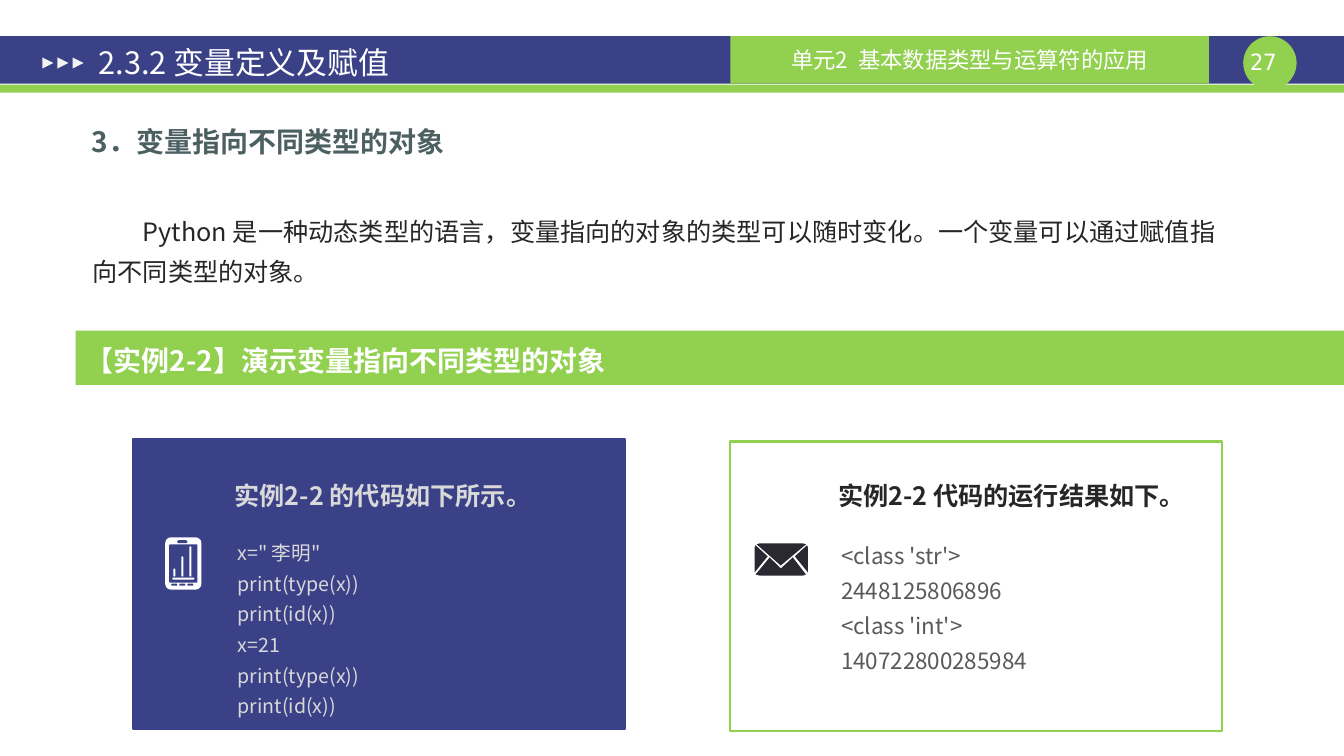
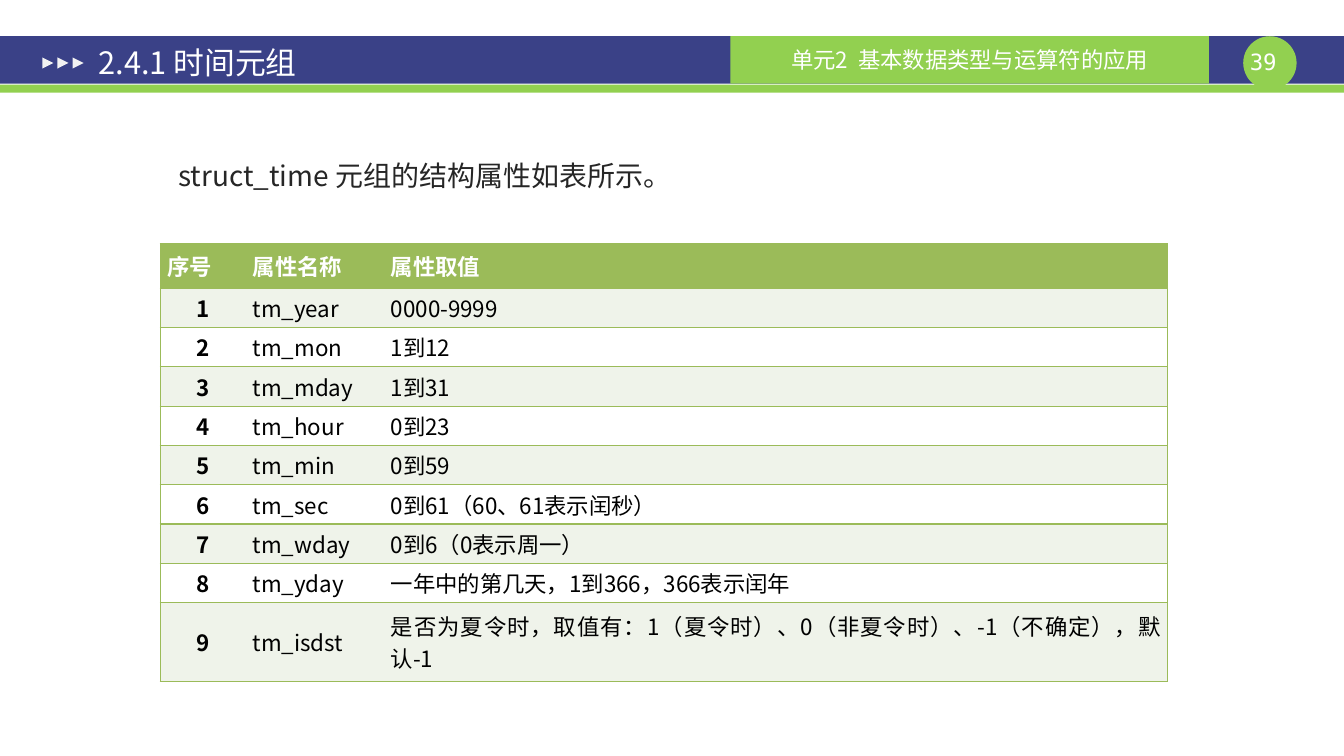
import pptx
import pptx.dml.color
import pptx.enum.shapes
import pptx.enum.text
import pptx.oxml.ns
import pptx.util
from lxml import etree

Inches = pptx.util.Inches
Pt = pptx.util.Pt
SHAPE = pptx.enum.shapes.MSO_SHAPE
ALIGN = pptx.enum.text.PP_ALIGN
ANCHOR = pptx.enum.text.MSO_ANCHOR
AUTO_SIZE = pptx.enum.text.MSO_AUTO_SIZE
qn = pptx.oxml.ns.qn

SLIDE_W, SLIDE_H = 13.34, 7.5
FONT, PAGE_FONT = "Noto Sans CJK SC", "DejaVu Sans Mono"
NAVY, LIME, OLIVE, PALE = "3A4187", "92D050", "9BBB59", "EFF3EA"
WHITE, BLACK, INK, ARROW = "FFFFFF", "000000", "262626", "F2F2F2"
SLATE, SILVER, GRAY, ICON = "4C6062", "D9D9D9", "595959", "2A2831"
UNIT_NAME = "单元2  基本数据类型与运算符的应用"
NO_TABLE_STYLE = "{2D5ABB26-0587-4C30-8999-92F81FD0307C}"


def rgb(value):
    return pptx.dml.color.RGBColor.from_string(value)


def write(frame, lines, size, color, bold=False, font=FONT, align=None,
          spacing=None, indent=0, anchor=ANCHOR.TOP, insets=(0.1, 0.05)):
    """Fill a text frame or table cell with one paragraph per line."""
    across, down = (Inches(inset) for inset in insets)
    layout = {"margin_left": across, "margin_right": across,
              "margin_top": down, "margin_bottom": down,
              "vertical_anchor": anchor}
    for name, value in layout.items():
        setattr(frame, name, value)
    text_frame = getattr(frame, "text_frame", frame)
    text_frame.word_wrap = True
    text_frame.text = "\n".join(lines)
    for paragraph in text_frame.paragraphs:
        paragraph.alignment = align
        paragraph.line_spacing = spacing
        if indent:
            paragraph._p.get_or_add_pPr().set("indent", str(Inches(indent)))
        run = paragraph.runs[0]
        for name, value in {"size": Pt(size), "bold": bold, "name": font}.items():
            setattr(run.font, name, value)
        run.font.color.rgb = rgb(color)
        etree.SubElement(run._r.get_or_add_rPr(), qn("a:ea"), typeface=font)


def add_text(slide, box, lines, size, color, grow=True, **formats):
    text_box = slide.shapes.add_textbox(*map(Inches, box))
    write(text_box.text_frame, lines, size, color, **formats)
    if grow:
        text_box.text_frame.auto_size = AUTO_SIZE.SHAPE_TO_FIT_TEXT


def paint(shape, fill, line=None):
    shape.shadow.inherit = False
    if fill:
        shape.fill.solid()
        shape.fill.fore_color.rgb = rgb(fill)
    else:
        shape.fill.background()
    if line:
        shape.line.color.rgb = rgb(line)
        shape.line.width = Pt(1.5)
    else:
        shape.line.fill.background()
    return shape


def add_block(slide, box, fill, line=None, kind=SHAPE.RECTANGLE):
    return paint(slide.shapes.add_shape(kind, *map(Inches, box)), fill, line)


def add_header(slide, title, page):
    top, height = 0.36, 0.47
    add_block(slide, (0, top, SLIDE_W, height), NAVY)
    add_block(slide, (0, 0.84, SLIDE_W, 0.08), LIME)
    add_block(slide, (12.34, top, 0.53, 0.53), LIME, kind=SHAPE.OVAL)
    add_text(slide, (12.34, 0.48, 0.53, 0.27), [page], 16, WHITE,
             font=PAGE_FONT, align=ALIGN.CENTER, insets=(0, 0))
    unit = add_block(slide, (7.25, top, 4.75, height), LIME)
    write(unit.text_frame, [UNIT_NAME], 16, WHITE, align=ALIGN.CENTER,
          anchor=ANCHOR.MIDDLE)
    for step in range(3):
        arrow = add_block(slide, (0.42 + 0.15 * step, 0.57, 0.11, 0.11), ARROW,
                          kind=SHAPE.ISOSCELES_TRIANGLE)
        arrow.rotation = 90
    add_text(slide, (0.85, 0.4, 7.2, 0.44), [title], 22, WHITE, grow=False,
             anchor=ANCHOR.MIDDLE, insets=(0.13, 0.07))


def add_example_band(slide, left, top, text):
    add_block(slide, (left, top, SLIDE_W - left, 0.54), LIME)
    add_text(slide, (left, top + 0.08, 6, 0.44), [text], 20, WHITE, bold=True)


def add_card(slide, left, top, fill, line, heading, heading_box, heading_color,
             lines, size, color):
    """Draw a framed card; heading_box is (left, top, width) inside it."""
    add_block(slide, (left, top, 4.88, 2.87), fill, line)
    x, y, width = left + heading_box[0], top + heading_box[1], heading_box[2]
    add_text(slide, (x, y, width, 0.46), [heading], 18, heading_color,
             bold=True, spacing=1.3)
    add_text(slide, (x + 0.03, y + 0.62, 3.25, len(lines) * size * 0.023),
             lines, size, color, align=ALIGN.JUSTIFY, spacing=1.3)


def add_phone_icon(slide, left, top):
    def part(x, y, width, height, fill, roundness=0.5):
        piece = add_block(slide, (left + x, top + y, width, height), fill,
                          kind=SHAPE.ROUNDED_RECTANGLE)
        piece.adjustments[0] = roundness

    part(0, 0, 0.36, 0.52, WHITE, 0.16)
    part(0.04, 0.07, 0.28, 0.38, NAVY, 0.04)
    part(0.12, 0.03, 0.1, 0.03, NAVY)
    for column, bar_height in enumerate((0.08, 0.2, 0.3)):
        x = 0.08 * (column + 1)
        part(x, 0.39 - bar_height, 0.02, bar_height, WHITE)
        part(x - 0.02, 0.46, 0.06, 0.02, NAVY)
    part(0.07, 0.4, 0.22, 0.02, WHITE)


def add_envelope_icon(slide, left, top):
    width = 0.53
    side = [(0.01, 0.02), (0, 0.04), (0, 0.29), (0.13, 0.13)]
    flap = [(0.02, 0.01), (0.05, 0), (0.48, 0), (0.51, 0.01), (0.26, 0.22)]
    pocket = [(0.15, 0.14), (0.26, 0.25), (0.38, 0.14), (0.51, 0.31),
              (0.48, 0.32), (0.05, 0.32), (0.01, 0.31)]
    mirrored = [(width - x, y) for x, y in side]
    for outline in (side, flap, pocket, mirrored):
        points = [(Inches(left + x), Inches(top + y)) for x, y in outline]
        builder = slide.shapes.build_freeform(*points[0])
        builder.add_line_segments(points[1:], close=True)
        paint(builder.convert_to_shape(), ICON)


def add_borders(cell, sides):
    properties = cell._tc.get_or_add_tcPr()
    for side in sides:
        line = etree.SubElement(properties, qn(f"a:ln{side}"), w=str(Pt(1)))
        fill = etree.SubElement(line, qn("a:solidFill"))
        etree.SubElement(fill, qn("a:srgbClr"), val=OLIVE)


def add_attribute_table(slide, left, top, header, records):
    widths = (0.85, 1.37, 7.78)
    heights = [0.44] + [0.39] * (len(records) - 1) + [0.78]
    rows = [header] + [(str(number), *record)
                       for number, record in enumerate(records, 1)]
    table = slide.shapes.add_table(
        len(rows), len(widths), Inches(left), Inches(top),
        Inches(sum(widths)), Inches(sum(heights))).table
    table._tbl.tblPr.find(qn("a:tableStyleId")).text = NO_TABLE_STYLE
    table.horz_banding = False
    for column, width in zip(table.columns, widths):
        column.width = Inches(width)
    outer_sides = ("LTB", "TB", "RTB")
    for r, (values, height) in enumerate(zip(rows, heights)):
        table.rows[r].height = Inches(height)
        row_fill = OLIVE if r == 0 else PALE if r % 2 else WHITE
        for c, value in enumerate(values):
            cell = table.cell(r, c)
            add_borders(cell, outer_sides[c])
            cell.fill.solid()
            cell.fill.fore_color.rgb = rgb(row_fill)
            write(cell, [value], 16, BLACK if r else WHITE,
                  bold=r == 0 or c == 0,
                  align=ALIGN.CENTER if r and c == 0 else ALIGN.JUSTIFY,
                  anchor=ANCHOR.MIDDLE, insets=(0.07, 0))


def build_variable_slide(slide):
    add_header(slide, "2.3.2 变量定义及赋值", "27 ")
    add_text(slide, (0.31, 1.08, 12.48, 0.5), ["3．变量指向不同类型的对象"],
             20, SLATE, bold=True, spacing=1.32, indent=0.5)
    add_example_band(slide, 0.75, 3.28, "【实例2-2】演示变量指向不同类型的对象")
    add_text(slide, (0.82, 2, 11.44, 0.86),
             ["Python 是一种动态类型的语言，变量指向的对象的类型可以随时变化。"
              "一个变量可以通过赋值指向不同类型的对象。"],
             18, INK, spacing=1.32, indent=0.5)
    inspect = ["print(type(x))", "print(id(x))"]
    add_card(slide, 1.32, 4.36, NAVY, NAVY, "实例2-2 的代码如下所示。",
             (0.91, 0.27, 4.31), SILVER,
             ['x=" 李明"', *inspect, "x=21", *inspect], 14, SILVER)
    add_phone_icon(slide, 1.64, 5.33)
    add_card(slide, 7.25, 4.38, None, LIME, "实例2-2 代码的运行结果如下。",
             (0.97, 0.25, 3.66), INK,
             ["<class 'str'>", "2448125806896",
              "<class 'int'>", "140722800285984"], 16, GRAY)
    add_envelope_icon(slide, 7.49, 5.39)


def build_time_slide(slide):
    add_header(slide, "2.4.1 时间元组", "39 ")
    add_text(slide, (1.17, 1.42, 9.58, 0.5),
             ["struct_time 元组的结构属性如表所示。"],
             20, INK, spacing=1.32, indent=0.5)
    add_attribute_table(slide, 1.59, 2.42, ("序号", "属性名称", "属性取值"), [
        ("tm_year", "0000-9999"),
        ("tm_mon", "1到12"),
        ("tm_mday", "1到31"),
        ("tm_hour", "0到23"),
        ("tm_min", "0到59"),
        ("tm_sec", "0到61（60、61表示闰秒）"),
        ("tm_wday", "0到6（0表示周一）"),
        ("tm_yday", "一年中的第几天，1到366，366表示闰年"),
        ("tm_isdst", "是否为夏令时，取值有：1（夏令时）、0（非夏令时）、"
                     "-1（不确定），默认-1"),
    ])


def main():
    deck = pptx.Presentation()
    deck.slide_width, deck.slide_height = Inches(SLIDE_W), Inches(SLIDE_H)
    for build in (build_variable_slide, build_time_slide):
        build(deck.slides.add_slide(deck.slide_layouts[6]))
    deck.save("out.pptx")


if __name__ == "__main__":
    main()
